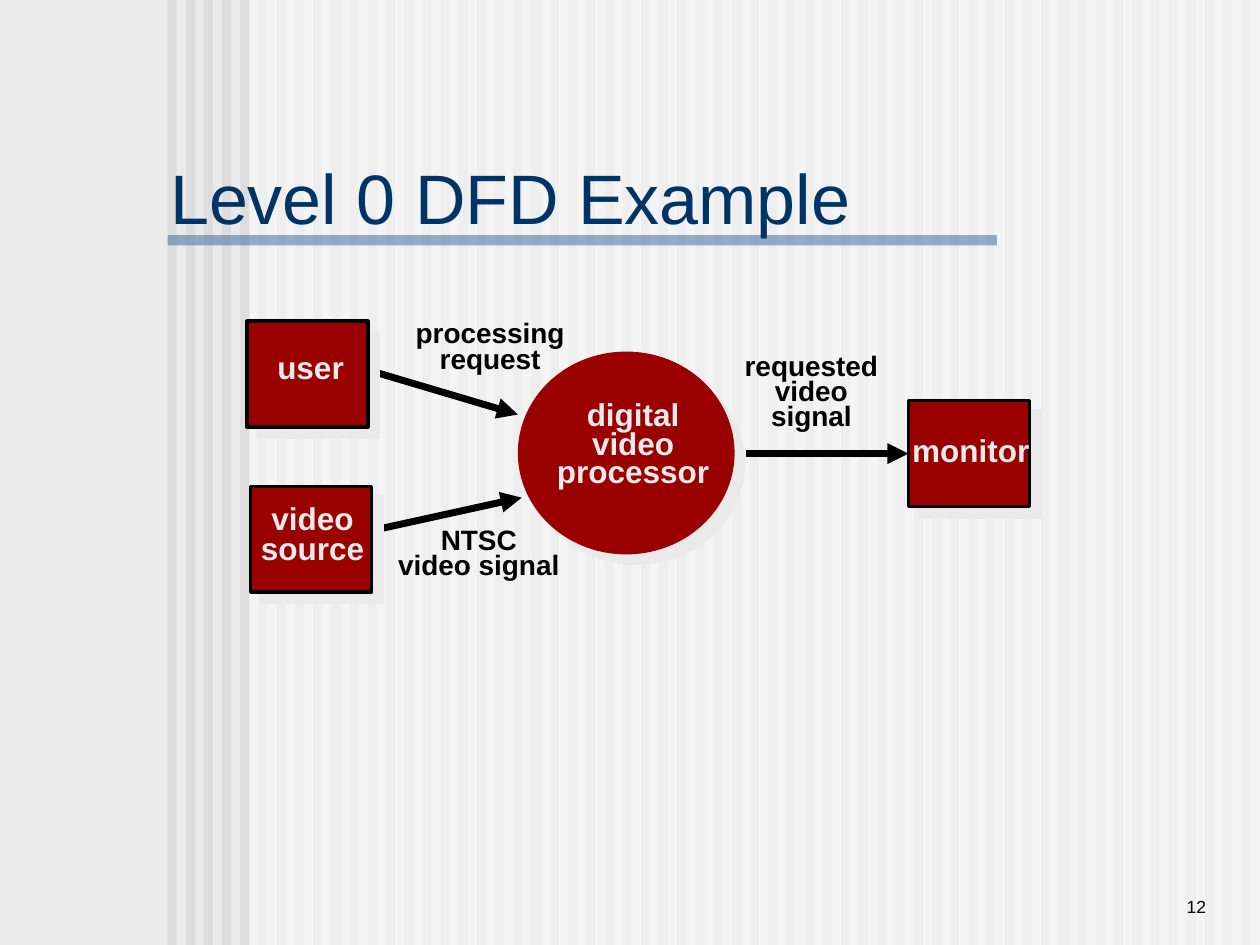
import pptx
import pptx.util
import pptx.dml.color
import pptx.enum.shapes
import pptx.enum.text
import pptx.oxml.ns
import lxml.etree
from dataclasses import dataclass

Pt = pptx.util.Pt
KIND = pptx.enum.shapes.MSO_SHAPE
ALIGN = pptx.enum.text.PP_ALIGN
ANCHOR = pptx.enum.text.MSO_ANCHOR
FIT = pptx.enum.text.MSO_AUTO_SIZE


@dataclass
class Theme:
    font: str = "Arial"
    back: str = "EAEAEA"
    stripe: str = "DDDDDD"
    veil: str = "FFFFFF"
    rule: str = "336699"
    title: str = "003366"
    node: str = "9A0000"
    light: str = "EAEAEA"
    ink: str = "000000"
    big: int = 40
    mid: int = 18
    small: int = 16
    tiny: int = 10


theme = Theme()
WIDE, HIGH = 720, 540
TITLE = "Level 0 DFD Example"
PAGE = "12"

STRIPES = {"count": 60, "left": 95.76, "step": 10.4, "width": 5.2}
VEIL = (142.56, 0, 577.44, HIGH)
RULE = (95.76, 134.4, 474, 5.8)
CIRCLE = (295.92, 200.88, 123.84, 115.92)
BOX = (69.12, 60.48)
BOXES = {"user": (141.12, 183.6), "source": (143.28, 277.92), "screen": (519.12, 228.96)}
FLOWS = [
    ((203.76, 209.52), (295.92, 236.88), None),
    ((203.04, 305.28), (298.08, 284.4), None),
    ((426.24, 260.5), (516.96, 260.5), "screen"),
]
NAMES = [
    (["user"], (151.2, 195.12, 52.56, 28.8), 1),
    (["video", "source"], (141.84, 285.84, 73.44, 41.76), 0.8),
    (["digital", "video", "processor"], (311.04, 227.52, 101.52, 55.44), 0.75),
    (["monitor"], (514.08, 242.64, 81.36, 28.8), 1),
]
LABELS = [
    (["processing ", "request"], (228.24, 181.44, 103.68, 36)),
    (["NTSC", "video signal"], (220.32, 299.52, 106.56, 36)),
    (["requested", "video", "signal"], (418.32, 200.16, 90.72, 50.4)),
]


def color(code):
    return pptx.dml.color.RGBColor.from_string(code)


def node(parent, tag, **attrs):
    item = lxml.etree.SubElement(parent, pptx.oxml.ns.qn(tag))
    for key, value in attrs.items():
        item.set(key, str(value))
    return item


def write(frame, lines, size, ink, bold=False, align=ALIGN.LEFT, space=None,
          anchor=ANCHOR.TOP, wrap=True, fit=FIT.NONE):
    frame.word_wrap = wrap
    frame.auto_size = fit
    frame.vertical_anchor = anchor
    for index, line in enumerate(lines):
        para = frame.add_paragraph() if index else frame.paragraphs[0]
        para.text = line
        para.alignment = align
        para.line_spacing = space
        para.font.name = theme.font
        para.font.size = Pt(size)
        para.font.bold = bold
        para.font.color.rgb = color(ink)


def place(shapes, kind, area, fill, edge=None, alpha=None, shade=False):
    shape = shapes.add_shape(kind, *map(Pt, area))
    shape.shadow.inherit = False
    shape.fill.solid()
    shape.fill.fore_color.rgb = color(fill)
    if edge:
        shape.line.color.rgb = color(edge)
        shape.line.width = Pt(2)
    else:
        shape.line.fill.background()
    props = shape._element.spPr
    if alpha:
        tint = props.find(pptx.oxml.ns.qn("a:solidFill"))[0]
        node(tint, "a:alpha", val=alpha * 1000)
    if shade:
        effects = props.find(pptx.oxml.ns.qn("a:effectLst"))
        shadow = node(effects, "a:outerShdw", blurRad=0, dist=int(Pt(8.5)),
                      dir=45 * 60000, algn="ctr", rotWithShape=0)
        node(shadow, "a:srgbClr", val=theme.light)
    return shape


def arrow(shapes, start, end):
    link = shapes.add_connector(pptx.enum.shapes.MSO_CONNECTOR.STRAIGHT,
                                *map(Pt, start + end))
    link.line.color.rgb = color(theme.ink)
    link.line.width = Pt(4)
    node(link.line._get_or_add_ln(), "a:tailEnd", type="triangle")
    node(link._element.spPr, "a:effectLst")
    return link


def label(shapes, lines, area, **form):
    box = shapes.add_textbox(*map(Pt, area))
    write(box.text_frame, lines, **form)


def main():
    deck = pptx.Presentation()
    deck.slide_width, deck.slide_height = Pt(WIDE), Pt(HIGH)
    slide = deck.slides.add_slide(deck.slide_layouts[5])
    shapes = slide.shapes
    slide.background.fill.solid()
    slide.background.fill.fore_color.rgb = color(theme.back)

    for index in range(STRIPES["count"]):
        left = STRIPES["left"] + index * STRIPES["step"]
        place(shapes, KIND.RECTANGLE, (left, 0, STRIPES["width"], HIGH), theme.stripe)
    place(shapes, KIND.RECTANGLE, VEIL, theme.veil, alpha=50)
    place(shapes, KIND.RECTANGLE, RULE, theme.rule, alpha=50)

    label(shapes, [PAGE], (594, 491.76, 102.24, 36), size=theme.tiny, ink=theme.ink,
          align=ALIGN.RIGHT, anchor=ANCHOR.BOTTOM)
    title = shapes.title
    title.left, title.top, title.width, title.height = map(Pt, (90, 84.24, 509.76, 56.16))
    write(title.text_frame, [TITLE], theme.big, theme.title, anchor=ANCHOR.MIDDLE)
    shapes._spTree.append(title._element)

    place(shapes, KIND.OVAL, CIRCLE, theme.node, shade=True)
    links = [(arrow(shapes, start, end), goal) for start, end, goal in FLOWS]
    boxes = {name: place(shapes, KIND.RECTANGLE, spot + BOX, theme.node,
                         edge=theme.ink, shade=True)
             for name, spot in BOXES.items()}
    for link, goal in links:
        if goal:
            link.end_connect(boxes[goal], 1)
            link.begin_y = link.end_y

    form = {"bold": True, "align": ALIGN.CENTER, "wrap": False, "fit": FIT.SHAPE_TO_FIT_TEXT}
    for lines, area, space in NAMES:
        label(shapes, lines, area, size=theme.mid, ink=theme.light, space=space, **form)
    for lines, area in LABELS:
        label(shapes, lines, area, size=theme.small, ink=theme.ink, space=0.75, **form)

    deck.save("out.pptx")


if __name__ == "__main__":
    main()
